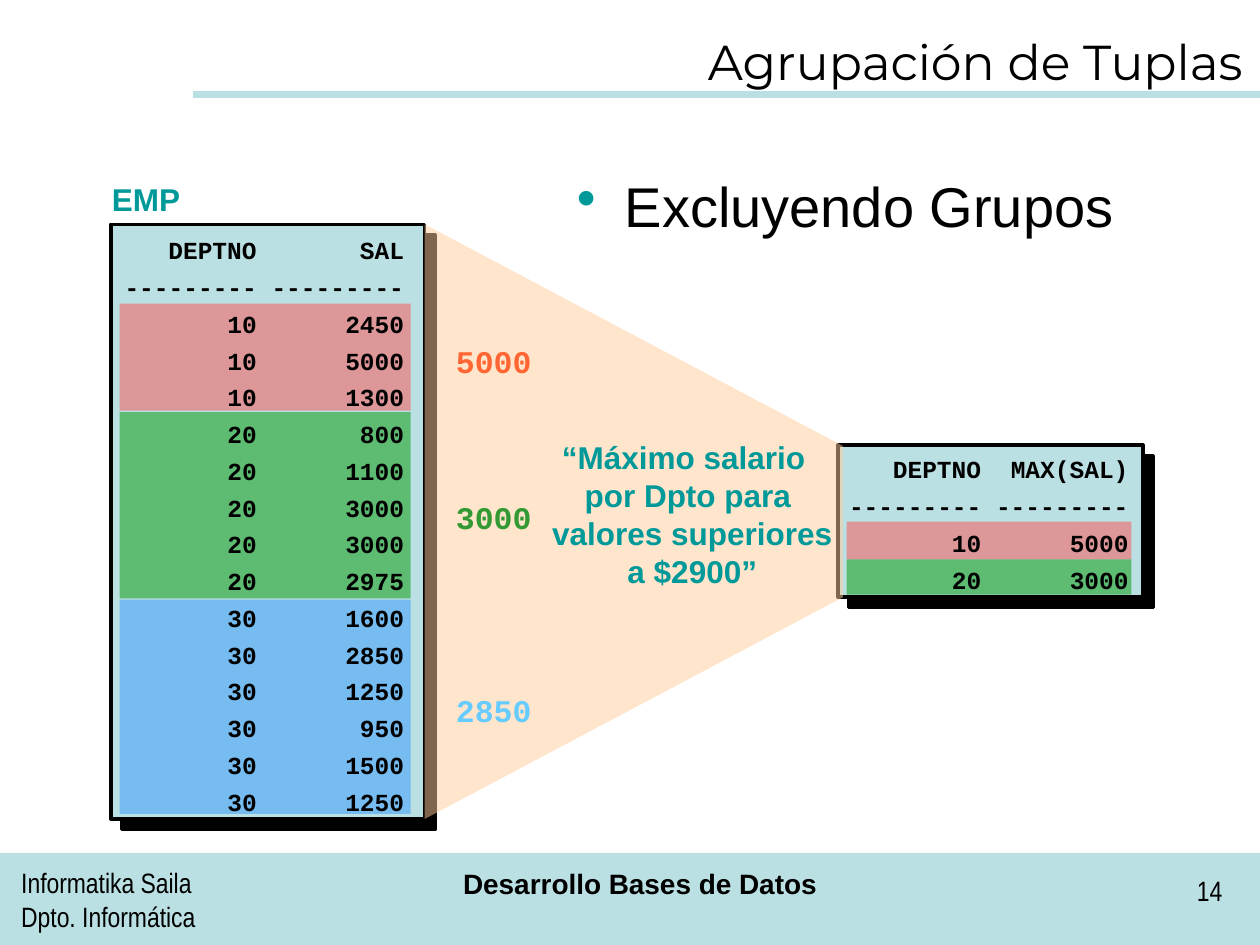
"""Build a slide on grouping tuples and excluding groups."""
import pptx
import pptx.util
import pptx.dml.color
import pptx.enum.shapes
import pptx.enum.text
import pptx.oxml
import pptx.oxml.ns
import lxml.etree

Inches, Pt = pptx.util.Inches, pptx.util.Pt
RGB = pptx.dml.color.RGBColor.from_string
ALIGN = pptx.enum.text.PP_ALIGN
ANCHOR = pptx.enum.text.MSO_ANCHOR
qn = pptx.oxml.ns.qn
SubElement = lxml.etree.SubElement

C = {"pale": "BBE0E3", "black": "000000", "teal": "009999", "beam": "FFCC99",
     "red": "FF5050", "green": "009900", "blue": "3399FF",
     "max10": "FF6633", "max20": "339933", "max30": "66CCFF"}

prs = pptx.Presentation()
prs.slide_width, prs.slide_height = Inches(10), Inches(7.5)
s = prs.slides.add_slide(prs.slide_layouts[6])


def paint(sp, color, alpha=None, outlined=False):
    sp.shadow.inherit = False
    sp.fill.solid()
    sp.fill.fore_color.rgb = RGB(C[color])
    if alpha:
        clr = sp._element.spPr.find(qn("a:solidFill"))[0]
        SubElement(clr, qn("a:alpha"), val=str(alpha * 1000))
    if outlined:
        sp.line.color.rgb = RGB(C["black"])
        sp.line.width = Pt(2)
        effects = sp._element.spPr.find(qn("a:effectLst"))
        shadow = SubElement(effects, qn("a:outerShdw"), dist=str(Pt(8.5)),
                            dir="2700000", algn="ctr", rotWithShape="0")
        SubElement(shadow, qn("a:srgbClr"), val=C["black"])
    else:
        sp.line.fill.background()


def text(box, lines, size, font="Arial", color="black", bold=False, wrap=True,
         anchor=ANCHOR.TOP, **fmt):
    tf = s.shapes.add_textbox(*map(Inches, box)).text_frame
    tf.word_wrap = wrap
    tf.vertical_anchor = anchor
    for i, line in enumerate(lines):
        p = tf.paragraphs[0] if i == 0 else tf.add_paragraph()
        for name, value in fmt.items():
            setattr(p, name, value)
        r = p.add_run()
        r.text = line
        for name, value in {"size": Pt(size), "name": font, "bold": bold}.items():
            setattr(r.font, name, value)
        r.font.color.rgb = RGB(C[color])
    return tf


RECT = pptx.enum.shapes.MSO_SHAPE.RECTANGLE
for box, outlined in [((0, 6.77, 10, 0.76), False),
                      ((6.65, 3.53, 2.42, 1.21), True),
                      ((0.88, 1.78, 2.49, 4.72), True)]:
    paint(s.shapes.add_shape(RECT, *map(Inches, box)), "pale", outlined=outlined)

rule = s.shapes.add_connector(pptx.enum.shapes.MSO_CONNECTOR.STRAIGHT,
                              Inches(1.53), Inches(0.75), Inches(10), Inches(0.75))
rule.line.color.rgb = RGB(C["pale"])
rule.line.width = Pt(4)
SubElement(rule._element.spPr, qn("a:effectLst"))

corners = [(Inches(x), Inches(y)) for x, y in
           [(3.37, 6.5), (3.37, 1.78), (6.69, 3.54), (6.69, 4.74)]]
beam = s.shapes.build_freeform(*corners[0])
beam.add_line_segments(corners[1:], close=True)
paint(beam.convert_to_shape(), "beam", alpha=50)

for box, color in [((0.95, 2.41, 2.31, 0.85), "red"),
                   ((0.95, 3.27, 2.31, 1.48), "green"),
                   ((0.95, 4.76, 2.31, 1.7), "blue"),
                   ((6.72, 4.14, 2.26, 0.3), "red"),
                   ((6.72, 4.44, 2.26, 0.28), "green")]:
    paint(s.shapes.add_shape(RECT, *map(Inches, box)), color, alpha=50)

for top, value, color in [(2.59, "5000", "max10"), (3.83, "3000", "max20"),
                          (5.36, "2850", "max30")]:
    text((3.52, top, 0.8, 0.48), [value], 18, "Courier New", color, True,
         wrap=False, line_spacing=1.25)

salaries = {10: [2450, 5000, 1300], 20: [800, 1100, 3000, 3000, 2975],
            30: [1600, 2850, 1250, 950, 1500, 1250]}
emp = [(dept, sal) for dept, sals in salaries.items() for sal in sals]
top_paid = [(dept, max(sals)) for dept, sals in salaries.items() if max(sals) > 2900]
dashes = ("-" * 9, "-" * 9)

for box, header, rows in [((0.89, 1.76, 2.5, 4.77), ("DEPTNO", "SAL"), emp),
                          ((6.64, 3.5, 2.5, 1.27), ("DEPTNO", "MAX(SAL)"), top_paid)]:
    lines = [f"\t{left}\t{right}" for left, right in [header, dashes, *rows]]
    tf = text(box, lines, 14, "Courier New", bold=True, line_spacing=1.25)
    for p in tf.paragraphs:
        tabs = SubElement(p._p.get_or_add_pPr(), qn("a:tabLst"))
        for stop in (1.05, 2.22):
            SubElement(tabs, qn("a:tab"), pos=str(Inches(stop)), algn="r")

text((4.21, 3.43, 2.5, 1.3),
     ["“Máximo salario ", "por Dpto para", " valores superiores", " a $2900”"],
     18, color="teal", bold=True, wrap=False, alignment=ALIGN.CENTER)
text((0.79, 1.38, 0.74, 0.4), ["EMP"], 18, color="teal", bold=True, wrap=False)

tf = text((4.48, 1.31, 5.52, 4.49), ["Excluyendo Grupos"], 32,
          space_before=Pt(8), space_after=Pt(8))
pPr = tf.paragraphs[0]._p.get_or_add_pPr()
pPr.set("marL", str(Inches(0.38)))
pPr.set("indent", str(Inches(-0.38)))
SubElement(SubElement(pPr, qn("a:buClr")), qn("a:srgbClr"), val=C["teal"])
SubElement(pPr, qn("a:buChar"), char="•")

text((0.67, 0.05, 9.29, 0.86), ["Agrupación de Tuplas"], 28, "Montserrat",
     anchor=ANCHOR.MIDDLE, alignment=ALIGN.RIGHT)
text((0.07, 6.82, 2.33, 0.52), ["Informatika Saila", "Dpto. Informática"], 16,
     "Arial Narrow")
text((3.11, 6.83, 3.94, 0.52), ["Desarrollo Bases de Datos"], 16, bold=True,
     alignment=ALIGN.CENTER)
text((8.54, 6.88, 1.26, 0.52), ["14"], 16, "Arial Narrow", alignment=ALIGN.RIGHT)

prs.save("out.pptx")
